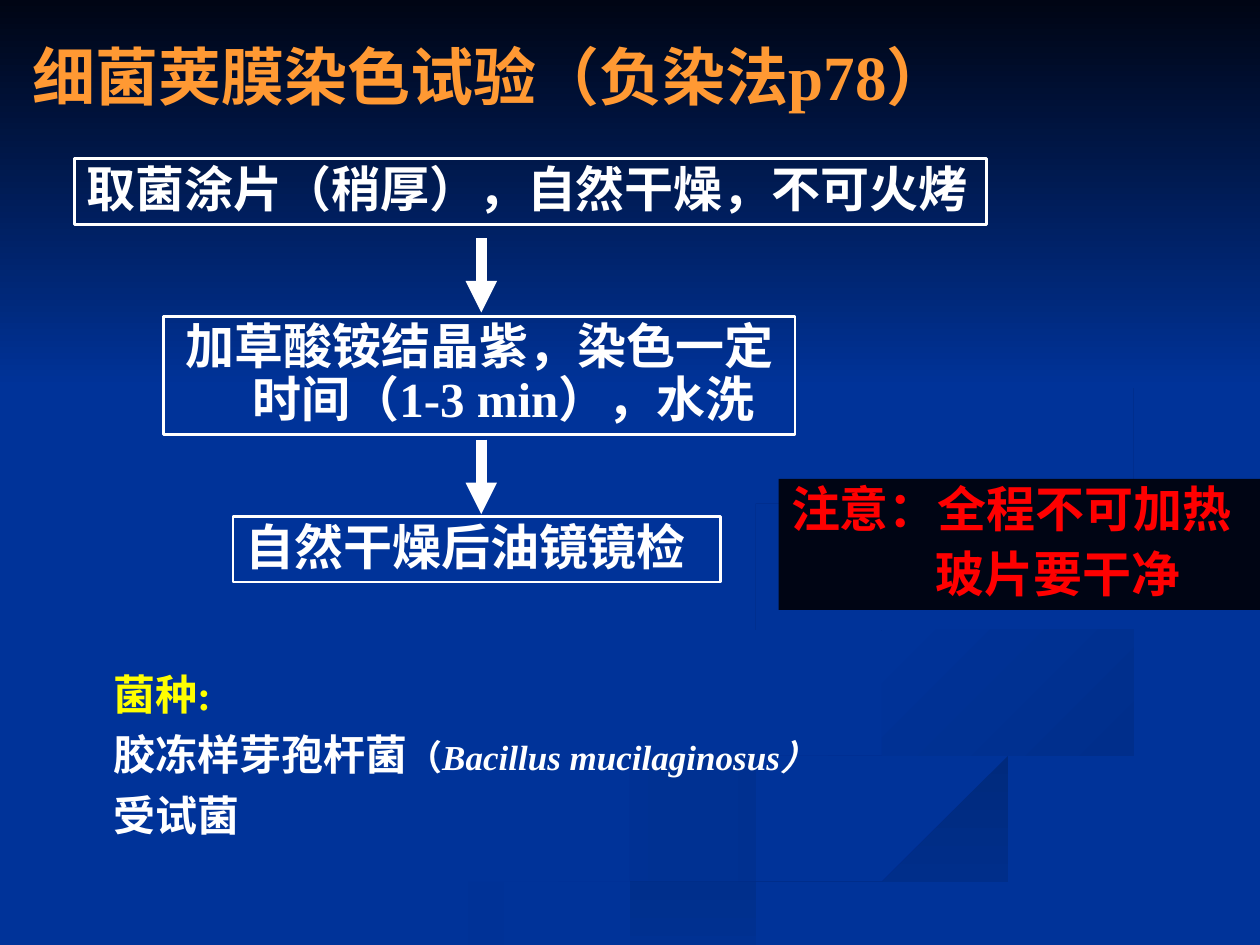
from lxml.etree import SubElement
from pptx import Presentation
from pptx.dml.color import RGBColor
from pptx.enum.shapes import MSO_CONNECTOR, MSO_SHAPE
from pptx.enum.text import MSO_ANCHOR, MSO_AUTO_SIZE, PP_ALIGN
from pptx.oxml.ns import qn
from pptx.util import Inches, Pt

LATIN, CHINESE = "Times New Roman", "Noto Sans CJK SC"
BLUE, NIGHT, WHITE = "003399", "000514", "FFFFFF"

# Background ribbons: two curved edges, first colour, last colour, angle
RIBBONS = [
    ([(5.75, 4.6), (6.26, 5.02), (7.15, 5.28), (7.81, 5.53), (8, 5.8),
      (7.56, 6.14), (5.64, 6.65), (3.6, 7.5)],
     [(3, 7.5), (5.4, 6.5), (7.5, 5.94), (7.85, 5.66), (6.97, 5.25),
      (6.1, 5), (5.7, 4.7)], BLUE, "002E8B", 0),
    ([(7.24, 4.64), (7.58, 5), (8.5, 5.24), (9.19, 5.47), (9.43, 5.7),
      (9.32, 5.9), (8.94, 6.05)],
     [(9.18, 5.8), (8.8, 5.49), (7.81, 5.18), (7.3, 4.83)], BLUE, "002E8B", 45),
    ([(5.03, 7.5), (6.3, 6.93), (7.64, 6.47), (9.2, 6.06), (10, 5.81)],
     [(10, 6.09), (8.2, 6.5), (6.7, 7.02), (5.7, 7.5)], "002A7D", BLUE, 90),
    ([(7.62, 2.33), (8.54, 2.83), (8.94, 3.44), (8.55, 3.9), (7.39, 4.21),
      (6.24, 4.44), (5.93, 4.7), (6.22, 5)],
     [(5.77, 4.62), (6.25, 4.26), (7.9, 3.92), (8.7, 3.65), (8.82, 3.13)],
     "002B82", BLUE, 45),
]


def colour(value):
    return RGBColor.from_string(value)


def smooth(points, steps=6):
    """Catmull-Rom curve through the points."""
    padded = [points[0], *points, points[-1]]
    curve = [points[0]]
    for a, b, c, d in zip(padded, padded[1:], padded[2:], padded[3:]):
        for step in range(1, steps + 1):
            t = step / steps
            curve.append(tuple(
                q + t / 2 * (r - p + t * (2 * p - 5 * q + 4 * r - s
                                          + t * (3 * q - p - 3 * r + s)))
                for p, q, r, s in zip(a, b, c, d)))
    return curve


def fill_gradient(shape, first, last, angle):
    """Fill without outline; the angle runs clockwise."""
    shape.shadow.inherit = False
    shape.line.fill.background()
    shape.fill.gradient()
    shape.fill.gradient_angle = -angle % 360
    for stop, value, position in zip(shape.fill.gradient_stops, (first, last), (0, 1)):
        stop.color.rgb = colour(value)
        stop.position = position


def add_ribbon(page, outward, back, first, last, angle):
    points = smooth(outward) + smooth(back)
    builder = page.shapes.build_freeform(*points[0], scale=Inches(1))
    builder.add_line_segments(points[1:], close=True)
    fill_gradient(builder.convert_to_shape(), first, last, angle)


def add_span(para, text, size=28, color=WHITE, latin=LATIN, italic=False):
    span = para.add_run()
    span.text = text
    font = span.font
    font.name, font.size, font.bold, font.italic = latin, Pt(size), True, italic
    font.color.rgb = colour(color)
    SubElement(font._element, qn("a:ea"), typeface=CHINESE)


def format_para(para, left=0.38, first=-0.38, spacing=None, before=None, align=PP_ALIGN.LEFT):
    properties = para._p.get_or_add_pPr()
    properties.set("marL", str(Inches(left)))
    properties.set("indent", str(Inches(first)))
    para.alignment = align
    if spacing:
        para.line_spacing = spacing
    if before:
        para.space_before = Pt(before)


def add_box(page, left, top, width, height, fill=None, line=None):
    box = page.shapes.add_shape(MSO_SHAPE.RECTANGLE, Inches(left), Inches(top),
                                Inches(width), Inches(height))
    box.shadow.inherit = False
    if fill:
        box.fill.solid()
        box.fill.fore_color.rgb = colour(fill)
    else:
        box.fill.background()
    if line:
        box.line.color.rgb = colour(line)
        box.line.width = Pt(1.5)
    else:
        box.line.fill.background()
    frame = box.text_frame
    frame.word_wrap = True
    frame.auto_size = MSO_AUTO_SIZE.SHAPE_TO_FIT_TEXT
    frame.vertical_anchor = MSO_ANCHOR.TOP
    return frame


def add_step(page, text, left, top, width, height, align=PP_ALIGN.LEFT):
    para = add_box(page, left, top, width, height, line=WHITE).paragraphs[0]
    format_para(para, spacing=0.9, align=align)
    add_span(para, text)


def add_text(page, left, top, width, height, anchor=MSO_ANCHOR.TOP):
    frame = page.shapes.add_textbox(Inches(left), Inches(top),
                                    Inches(width), Inches(height)).text_frame
    frame.word_wrap = True
    frame.vertical_anchor = anchor
    return frame


def add_arrow(page, x, top, length):
    arrow = page.shapes.add_connector(MSO_CONNECTOR.STRAIGHT, Inches(x), Inches(top),
                                      Inches(x), Inches(top + length))
    arrow.line.color.rgb = colour(WHITE)
    arrow.line.width = Pt(6)
    SubElement(arrow.line._get_or_add_ln(), qn("a:tailEnd"), type="triangle")
    SubElement(arrow._element.spPr, qn("a:effectLst"))


def main():
    deck = Presentation()
    deck.slide_width, deck.slide_height = Inches(10), Inches(7.5)
    page = deck.slides.add_slide(deck.slide_layouts[6])

    # Background
    page.background.fill.solid()
    page.background.fill.fore_color.rgb = colour(BLUE)
    for ribbon in RIBBONS:
        add_ribbon(page, *ribbon)
    sky = page.shapes.add_shape(MSO_SHAPE.RECTANGLE, 0, 0, Inches(10), Inches(3.08))
    fill_gradient(sky, NIGHT, BLUE, 90)

    # Staining steps
    add_step(page, "取菌涂片（稍厚），自然干燥，不可火烤", 0.59, 1.26, 7.24, 0.52)
    add_step(page, "加草酸铵结晶紫，染色一定时间（1-3 min），水洗",
             1.3, 2.51, 5.01, 0.94, PP_ALIGN.CENTER)
    add_step(page, "自然干燥后油镜镜检", 1.85, 4.1, 3.87, 0.52)
    for top in (1.89, 3.49):
        add_arrow(page, 3.82, top, 0.59)

    # Title
    title = add_text(page, 0.16, 0.25, 9.14, 0.7, MSO_ANCHOR.MIDDLE)
    add_span(title.paragraphs[0], "细菌荚膜染色试验（负染法p78）", size=36, color="FF9933")

    # Strains
    strains = add_text(page, 0.8, 5.26, 6.8, 1.48)
    heading, species, sample = strains.paragraphs[0], strains.add_paragraph(), strains.add_paragraph()
    for para, before in ((heading, None), (species, 5), (sample, 6)):
        format_para(para, before=before)
    add_span(heading, "菌种:", size=24, color="FFFF00")
    add_span(species, "胶冻样芽孢杆菌", size=24)
    add_span(species, "（", size=20)
    add_span(species, "Bacillus mucilaginosus）", size=20, italic=True)
    add_span(sample, "受试菌", size=24)

    # Warning
    warning = add_box(page, 6.18, 3.8, 3.86, 1.04, fill=NIGHT)
    heat, clean = warning.paragraphs[0], warning.add_paragraph()
    format_para(heat, spacing=0.9)
    format_para(clean, left=1.15, first=0, spacing=0.9, before=7)
    add_span(heat, "注意：全程不可加热", color="FF0000", latin=CHINESE)
    add_span(clean, "玻片要干净", color="FF0000", latin=CHINESE)

    deck.save("out.pptx")


if __name__ == "__main__":
    main()
